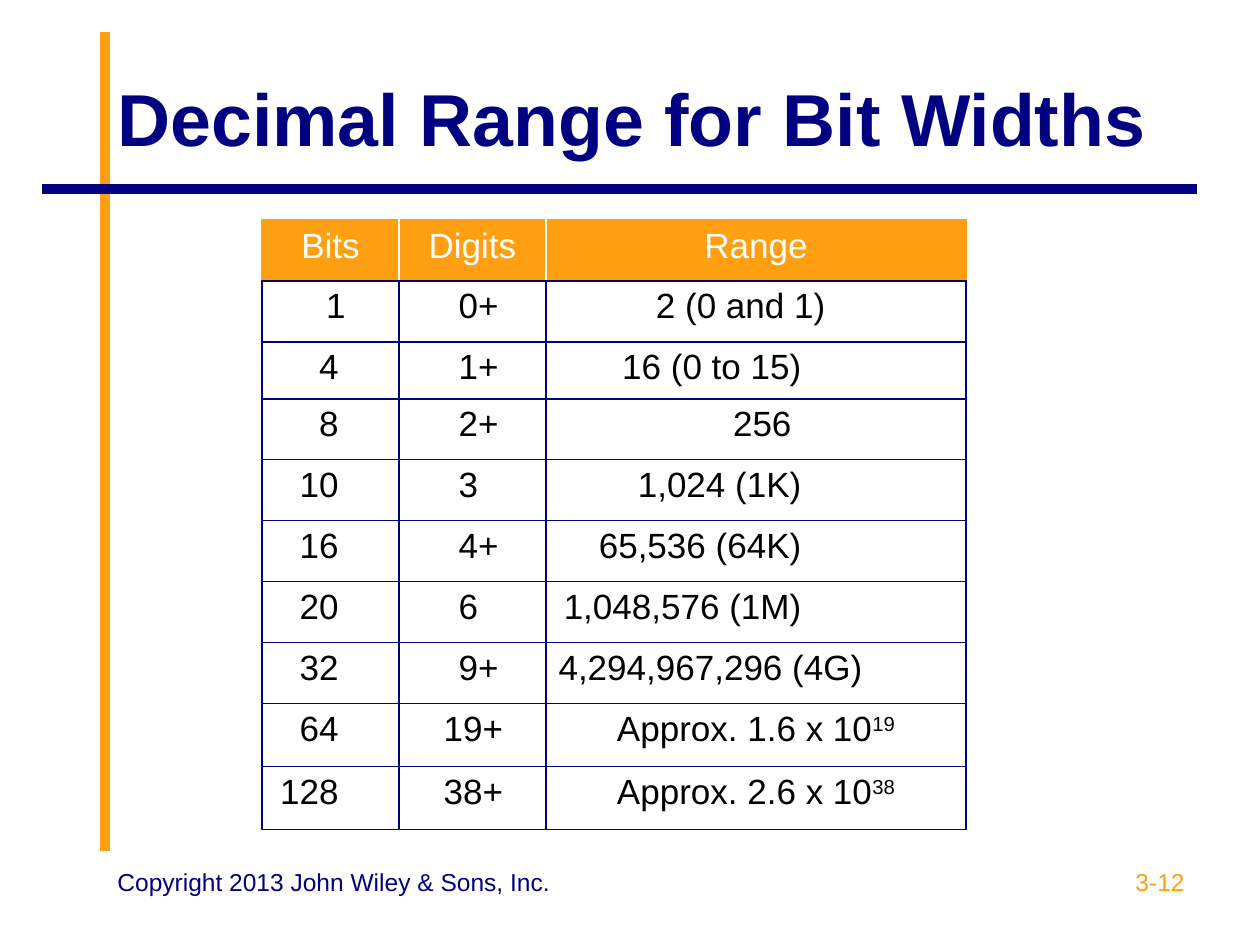
import dataclasses

import lxml.etree
import pptx
import pptx.dml.color
import pptx.enum.shapes
import pptx.enum.text
import pptx.oxml.ns
import pptx.util

EMU_PER_PX = 914400 / 126
ALIGN = pptx.enum.text.PP_ALIGN
ANCHOR = pptx.enum.text.MSO_ANCHOR


@dataclasses.dataclass(frozen=True)
class Theme:
    font: str = "Arial"
    navy: str = "000080"
    orange: str = "FF9F11"
    white: str = "FFFFFF"
    black: str = "000000"
    title_size: int = 42
    table_size: int = 20
    footer_size: int = 14
    rule_width: float = 5.5
    border_width: float = 0.75


def px(length):
    return pptx.util.Emu(round(length * EMU_PER_PX))


def rgb(color):
    return pptx.dml.color.RGBColor.from_string(color)


def add_element(parent, tag, **attributes):
    element = lxml.etree.SubElement(parent, pptx.oxml.ns.qn(tag))
    for name, value in attributes.items():
        element.set(name, str(value))
    return element


class SlideBuilder:
    def __init__(self, theme, slide):
        self.theme = theme
        self.slide = slide

    def rule(self, x1, y1, x2, y2, color):
        connector = self.slide.shapes.add_connector(
            pptx.enum.shapes.MSO_CONNECTOR.STRAIGHT, px(x1), px(y1), px(x2), px(y2))
        connector.line.color.rgb = rgb(color)
        connector.line.width = pptx.util.Pt(self.theme.rule_width)
        add_element(connector._element.spPr, "a:effectLst")

    def run(self, paragraph, text, size, color, bold=False, superscript=False):
        run = paragraph.add_run()
        run.text = text
        run.font.name = self.theme.font
        run.font.size = pptx.util.Pt(size)
        run.font.bold = bold
        run.font.color.rgb = rgb(color)
        if superscript:
            run._r.get_or_add_rPr().set("baseline", "30000")

    def text(self, left, top, width, height, text, size, color,
             align=ALIGN.LEFT, anchor=ANCHOR.TOP, bold=False):
        shape = self.slide.shapes.add_textbox(px(left), px(top), px(width), px(height))
        shape.text_frame.word_wrap = True
        shape.text_frame.vertical_anchor = anchor
        paragraph = shape.text_frame.paragraphs[0]
        paragraph.alignment = align
        self.run(paragraph, text, size, color, bold)

    def cell(self, cell, text, color, tab=None, exponent="", fill=None, borders=None):
        paragraph = cell.text_frame.paragraphs[0]
        if tab:
            position, kind = tab
            tabs = add_element(paragraph._p.get_or_add_pPr(), "a:tabLst")
            add_element(tabs, "a:tab", pos=px(position), algn=kind)
            text = "\t" + text
        else:
            paragraph.alignment = ALIGN.CENTER
        self.run(paragraph, text, self.theme.table_size, color)
        if exponent:
            self.run(paragraph, exponent, self.theme.table_size, color, superscript=True)

        properties = cell._tc.get_or_add_tcPr()
        for side, border_color in zip("LRTB", borders or [self.theme.navy] * 4):
            line = add_element(properties, "a:ln" + side,
                               w=pptx.util.Pt(self.theme.border_width))
            add_element(add_element(line, "a:solidFill"), "a:srgbClr", val=border_color)
        if fill:
            cell.fill.solid()
            cell.fill.fore_color.rgb = rgb(fill)
        else:
            cell.fill.background()

    def table(self, left, top, widths, heights, headers, rows):
        theme = self.theme
        table = self.slide.shapes.add_table(
            len(heights), len(widths), px(left), px(top),
            px(sum(widths)), px(sum(heights))).table
        table.first_row = False
        table.horz_banding = False
        for column, width in zip(table.columns, widths):
            column.width = px(width)
        for row, height in zip(table.rows, heights):
            row.height = px(height)

        last = len(headers) - 1
        for index, header in enumerate(headers):
            borders = [theme.white if index > 0 else theme.orange,
                       theme.white if index < last else theme.orange,
                       theme.orange, theme.navy]
            self.cell(table.cell(0, index), header, theme.white,
                      fill=theme.orange, borders=borders)
        for row_index, row in enumerate(rows, start=1):
            for index, (text, tab, exponent) in enumerate(row):
                self.cell(table.cell(row_index, index), text, theme.black, tab, exponent)


def range_row(bits, digits, values, exponent="", bits_tab=64, digits_tab=47, values_tab=243):
    return [(bits, (bits_tab, "dec"), ""),
            (digits, (digits_tab, "l"), ""),
            (values, None if exponent else (values_tab, "dec"), exponent)]


def main():
    presentation = pptx.Presentation()
    presentation.slide_width = px(1260)
    presentation.slide_height = px(945)
    slide = presentation.slides.add_slide(presentation.slide_layouts[6])
    theme = Theme()
    builder = SlideBuilder(theme, slide)

    builder.rule(105, 851, 105, 32, theme.orange)
    builder.rule(1197, 189, 42, 189, theme.navy)
    builder.text(105, 38, 1092, 158, "Decimal Range for Bit Widths", theme.title_size,
                 theme.navy, anchor=ANCHOR.MIDDLE, bold=True)

    rows = [
        range_row("1", "0+", "2 (0 and 1)", bits_tab=71, values_tab=267),
        range_row("4", "1+", "16 (0 to 15)"),
        range_row("8", "2+", "256", values_tab=233),
        range_row("10", "3", "1,024 (1K)"),
        range_row("16", "4+", "65,536 (64K)"),
        range_row("20", "6", "1,048,576 (1M)"),
        range_row("32", "9+", "4,294,967,296 (4G)"),
        range_row("64", "19+", "Approx. 1.6 x 10", "19", digits_tab=32),
        range_row("128", "38+", "Approx. 2.6 x 10", "38", digits_tab=32),
    ]
    heights = [61] * 2 + [57] + [61] * 5 + [63] * 2
    builder.table(262, 220, [137, 147, 420], heights, ["Bits", "Digits", "Range"], rows)

    builder.text(903, 861, 294, 65, "3-12", theme.footer_size, theme.orange,
                 align=ALIGN.RIGHT)
    builder.text(105, 861, 462, 65, "Copyright 2013 John Wiley & Sons, Inc.",
                 theme.footer_size, theme.navy)

    presentation.save("out.pptx")


if __name__ == "__main__":
    main()
